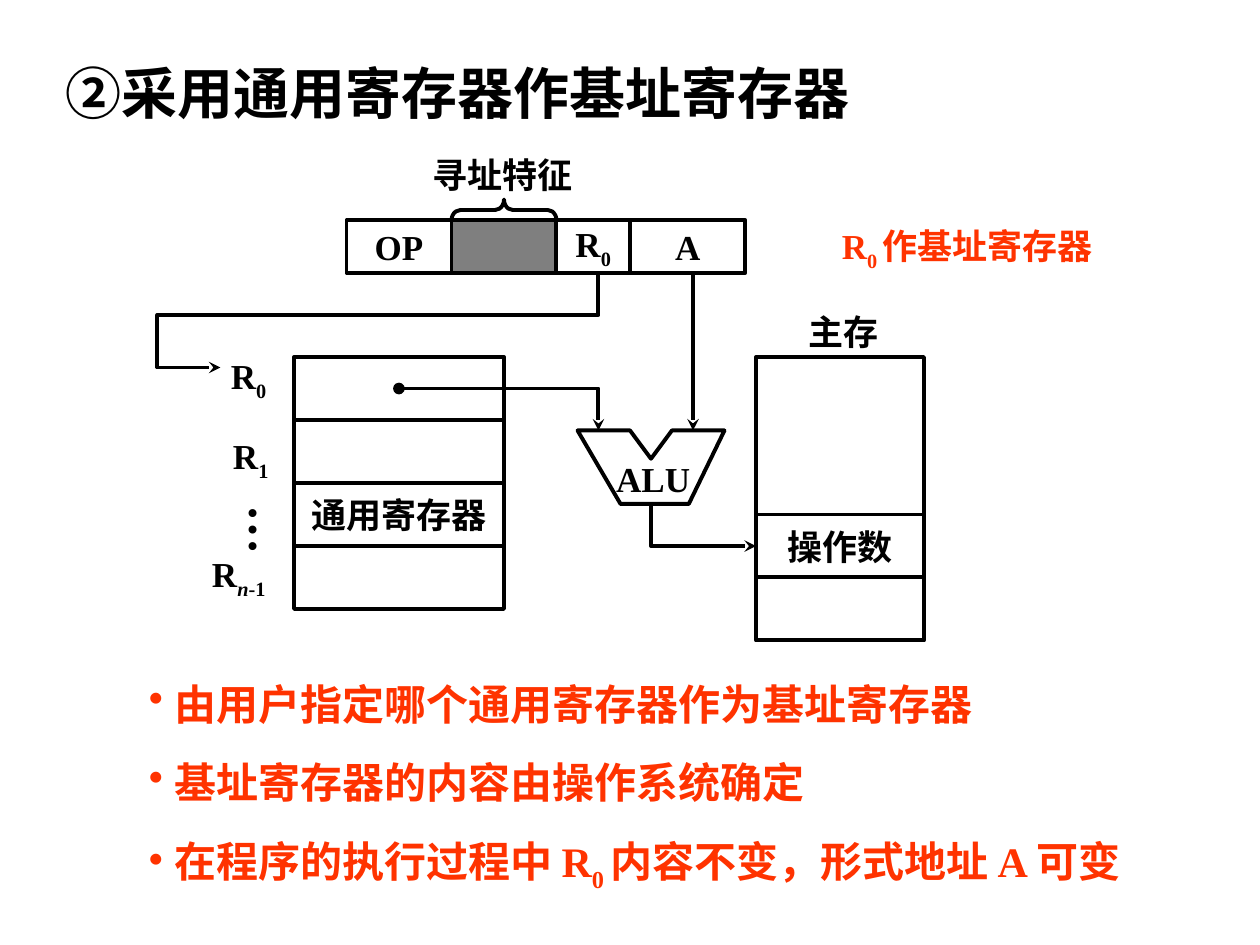
import lxml.etree
import pptx
import pptx.util
import pptx.dml.color
import pptx.enum.shapes
import pptx.enum.text
import pptx.oxml.ns

PX = 7620
FONT = "Times New Roman"
BLACK = pptx.dml.color.RGBColor(0x00, 0x00, 0x00)
RED = pptx.dml.color.RGBColor(0xFF, 0x33, 0x00)
SHAPE = pptx.enum.shapes.MSO_SHAPE
ANCHOR = pptx.enum.text.MSO_ANCHOR
ALIGN = pptx.enum.text.PP_ALIGN
AUTO = pptx.enum.text.MSO_AUTO_SIZE


def emu(*lengths):
    return [n * PX for n in lengths]


def add_xml(parent, tag, **attrs):
    el = lxml.etree.SubElement(parent, pptx.oxml.ns.qn(tag))
    for key, value in attrs.items():
        el.set(key, str(value))


def add_runs(p, runs, size=20, color=BLACK):
    for run in runs:
        text, style = run if isinstance(run, tuple) else (run, "")
        r = p.add_run()
        r.text = text
        r.font.name = FONT
        r.font.size = pptx.util.Pt(size)
        r.font.bold = True
        r.font.color.rgb = color
        if "i" in style:
            r.font.italic = True
        if "sub" in style:
            r.font._element.set("baseline", "-25000")


def add_text(shapes, box, runs, size=20, color=BLACK, wrap=False):
    sp = shapes.add_textbox(*emu(*box))
    tf = sp.text_frame
    tf.word_wrap = wrap
    tf.auto_size = AUTO.SHAPE_TO_FIT_TEXT
    add_runs(tf.paragraphs[0], runs, size, color)
    return sp


def set_outline(sp):
    sp.line.color.rgb = BLACK
    sp.line.width = pptx.util.Pt(2.25)


def set_ends(sp, head=None, tail=None):
    ln = sp._element.spPr.find(pptx.oxml.ns.qn("a:ln"))
    if head:
        add_xml(ln, "a:headEnd", type=head)
    if tail:
        add_xml(ln, "a:tailEnd", type=tail)


def add_outlined(shapes, kind, box):
    sp = shapes.add_shape(kind, *emu(*box))
    sp.shadow.inherit = False
    sp.fill.background()
    set_outline(sp)
    return sp


def add_cell(shapes, box, runs=()):
    sp = add_outlined(shapes, SHAPE.RECTANGLE, box)
    tf = sp.text_frame
    tf.word_wrap = False
    tf.vertical_anchor = ANCHOR.MIDDLE
    tf.paragraphs[0].alignment = ALIGN.CENTER
    add_runs(tf.paragraphs[0], runs)
    return sp


def add_outline(shapes, points, close=False):
    fb = shapes.build_freeform(*points[0], scale=PX)
    fb.add_line_segments(points[1:], close=close)
    sp = fb.convert_to_shape()
    sp.shadow.inherit = False
    sp.fill.background()
    set_outline(sp)
    return sp


def add_line(shapes, start, end):
    cx = shapes.add_connector(
        pptx.enum.shapes.MSO_CONNECTOR.STRAIGHT, *emu(*start, *end))
    set_outline(cx)
    add_xml(cx._element.spPr, "a:effectLst")
    return cx


def add_title(s, box):
    sp = s.shapes.title
    sp.left, sp.top, sp.width, sp.height = emu(*box)
    tf = sp.text_frame
    tf.word_wrap = False
    tf.auto_size = AUTO.NONE
    tf.vertical_anchor = ANCHOR.TOP
    p = tf.paragraphs[0]
    p.alignment = ALIGN.LEFT
    add_runs(p, ["②采用通用寄存器作基址寄存器"], 32)


def add_memory(s, x, y, w):
    shapes = s.shapes.add_group_shape().shapes
    for dy, h, runs in ((0, 150, []), (150, 60, ["操作数"]), (210, 60, [])):
        add_cell(shapes, (x, y + dy, w, h), runs)
    add_text(shapes, (x + 38, y - 50, 91, 52), ["主存"])


def add_instruction(s, x, y, h):
    brace = add_outlined(s.shapes, SHAPE.LEFT_BRACE, (x + 140, y - 60, 20, 100))
    brace.rotation = 90
    brace.adjustments[0] = 0.42
    add_text(s.shapes, (x + 70, y - 70, 158, 52), ["寻址特征"])
    shapes = s.shapes.add_group_shape().shapes
    fields = ((100, ["OP"]), (100, []), (70, ["R", ("0", "sub")]), (110, ["A"]))
    for w, runs in fields:
        sp = add_cell(shapes, (x, y, w, h), runs)
        if not runs:
            sp.fill.solid()
            sp.fill.fore_color.rgb = BLACK
            clr = sp._element.spPr.find(".//" + pptx.oxml.ns.qn("a:srgbClr"))
            add_xml(clr, "a:alpha", val=50000)
        x += w


def add_alu(s, x, y):
    shapes = s.shapes.add_group_shape().shapes
    corners = ((0, 0), (50, 0), (70, 27), (90, 0), (140, 0), (106, 70), (41, 70))
    add_outline(shapes, [(x + dx, y + dy) for dx, dy in corners], close=True)
    add_text(shapes, (x + 25, y + 20, 95, 52), ["ALU"])


def add_registers(s, x, y, w):
    shapes = s.shapes.add_group_shape().shapes
    add_cell(shapes, (x, y + 120, w, 60), ["通用寄存器"])
    add_cell(shapes, (x, y + 180, w, 60))
    upper = add_cell(shapes, (x, y, w, 120))
    divider = add_line(shapes, (x, y + 60), (x + w, y + 60))
    divider.begin_connect(upper, 1)
    divider.end_connect(upper, 3)
    labels = ((-72, -8, 59, [("0", "sub")]),
              (-70, 68, 59, [("1", "sub")]),
              (-90, 180, 78, [("n", "sub i"), ("-1", "sub")]))
    for dx, dy, label_w, index in labels:
        add_text(shapes, (x + dx, y + dy, label_w, 52), ["R"] + index)
    dots = add_text(shapes, (x - 70, y + 130, 80, 70), ["…"], 28, wrap=True)
    dots._element.txBody.bodyPr.set("vert", "eaVert")


def add_wires(s):
    set_ends(add_line(s.shapes, (660, 260), (660, 410)), tail="stealth")
    routes = (
        (None, [(570, 260), (570, 300), (150, 300), (150, 350), (210, 350)]),
        ("oval", [(380, 370), (570, 370), (570, 410)]),
        (None, [(620, 480), (620, 520), (720, 520)]),
    )
    for head, points in routes:
        set_ends(add_outline(s.shapes, points), head, "stealth")


def add_notes(s, x, y, step):
    notes = (
        (940, ["由用户指定哪个通用寄存器作为基址寄存器"]),
        (760, ["基址寄存器的内容由操作系统确定"]),
        (1000, ["在程序的执行过程中 R", ("0 ", "sub"), "内容不变，形式地址 A 可变"]),
    )
    for i, (w, runs) in enumerate(notes):
        sp = add_text(s.shapes, (x, y + i * step, w, 60), runs, 24, RED, wrap=True)
        pPr = sp.text_frame.paragraphs[0]._p.get_or_add_pPr()
        pPr.set("marL", str(24 * PX))
        pPr.set("indent", str(-24 * PX))
        add_xml(pPr, "a:buChar", char="•")


def main():
    prs = pptx.Presentation()
    prs.slide_width, prs.slide_height = emu(1200, 900)
    s = prs.slides.add_slide(prs.slide_layouts[5])
    add_title(s, (50, 50, 781, 77))
    add_memory(s, 720, 340, 160)
    add_instruction(s, 330, 210, 50)
    add_alu(s, 550, 410)
    add_wires(s)
    add_text(s.shapes, (790, 208, 269, 52),
             ["R", ("0 ", "sub"), "作基址寄存器"], color=RED, wrap=True)
    add_registers(s, 280, 340, 200)
    add_notes(s, 130, 640, 75)
    prs.save("out.pptx")


if __name__ == "__main__":
    main()
